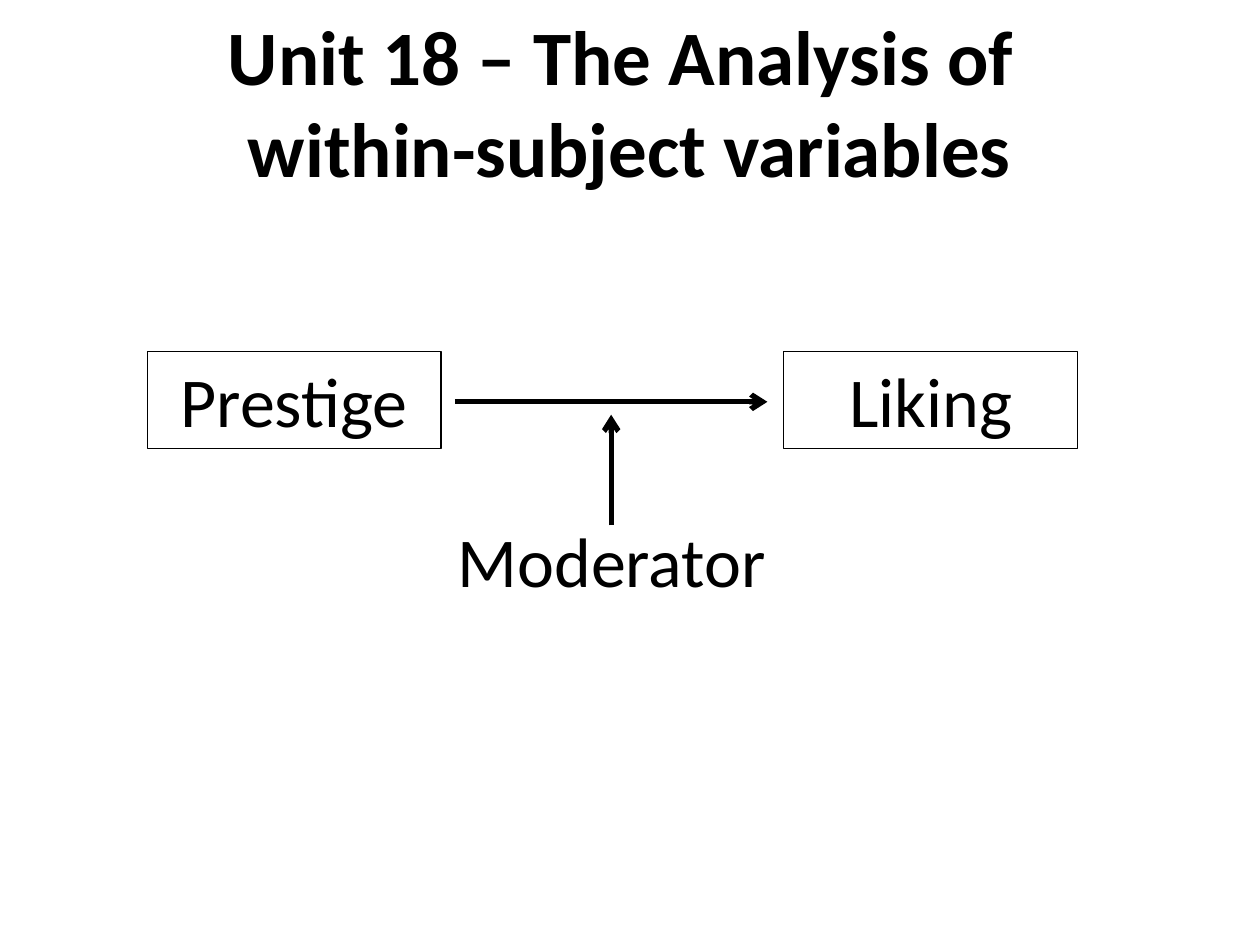
from typing import NamedTuple

from lxml import etree
from pptx import Presentation
from pptx.dml.color import RGBColor
from pptx.enum.shapes import MSO_CONNECTOR, MSO_SHAPE
from pptx.enum.text import MSO_ANCHOR, MSO_AUTO_SIZE, PP_ALIGN
from pptx.oxml.ns import qn
from pptx.util import Cm, Pt

BLACK = RGBColor(0, 0, 0)
FONT = "Calibri"
RECTANGLE = MSO_SHAPE.RECTANGLE
STRAIGHT = MSO_CONNECTOR.STRAIGHT
CENTER = PP_ALIGN.CENTER
TOP, MIDDLE = MSO_ANCHOR.TOP, MSO_ANCHOR.MIDDLE
NO_FIT = MSO_AUTO_SIZE.NONE
LABEL_HEIGHT = 1.95


class Label(NamedTuple):
    text: str
    left: float
    top: float
    width: float
    boxed: bool


class Arrow(NamedTuple):
    x1: float
    y1: float
    x2: float
    y2: float


LABELS = [
    Label("Prestige", 2.97, 7.09, 5.92, True),
    Label("Liking", 15.8, 7.09, 5.92, True),
    Label("Moderator", 8.94, 10.31, 6.78, False),
]
ARROWS = [
    Arrow(9.17, 8.1, 15.47, 8.1),
    Arrow(12.32, 10.59, 12.32, 8.36),
]


def write_text(tf, lines: list[str], size: int, anchor, bold: bool = False) -> None:
    tf.word_wrap = True
    tf.auto_size = NO_FIT
    tf.vertical_anchor = anchor
    p = tf.paragraphs[0]
    p.alignment = CENTER
    for i, line in enumerate(lines):
        if i:
            p.add_line_break()
        r = p.add_run()
        r.text = line
        r.font.name = FONT
        r.font.size = Pt(size)
        r.font.bold = bold
        r.font.color.rgb = BLACK


def add_label(s, label: Label) -> None:
    frame = Cm(label.left), Cm(label.top), Cm(label.width), Cm(LABEL_HEIGHT)
    if label.boxed:
        sp = s.shapes.add_shape(RECTANGLE, *frame)
        sp.shadow.inherit = False
        sp.fill.background()
        sp.line.color.rgb = BLACK
        sp.line.width = Pt(0.75)
    else:
        sp = s.shapes.add_textbox(*frame)
    write_text(sp.text_frame, [label.text], 40, TOP)


def add_arrow(s, arrow: Arrow) -> None:
    line = s.shapes.add_connector(STRAIGHT, *(Cm(v) for v in arrow))
    line.line.color.rgb = BLACK
    line.line.width = Pt(3)
    ln = line.line._get_or_add_ln()
    etree.SubElement(ln, qn("a:tailEnd"), type="arrow")
    etree.SubElement(line._element.spPr, qn("a:effectLst"))


def main() -> None:
    prs = Presentation()
    prs.slide_width, prs.slide_height = Cm(25.4), Cm(19.05)
    s = prs.slides.add_slide(prs.slide_layouts[5])

    title = s.shapes.title
    title.left, title.top = Cm(0), Cm(0.69)
    title.width, title.height = prs.slide_width, Cm(2.69)
    write_text(title.text_frame,
               ["Unit 18 – The Analysis of ", "within-subject variables"],
               44, MIDDLE, bold=True)

    for label in LABELS:
        add_label(s, label)
    for arrow in ARROWS:
        add_arrow(s, arrow)
    prs.save("out.pptx")


if __name__ == "__main__":
    main()
